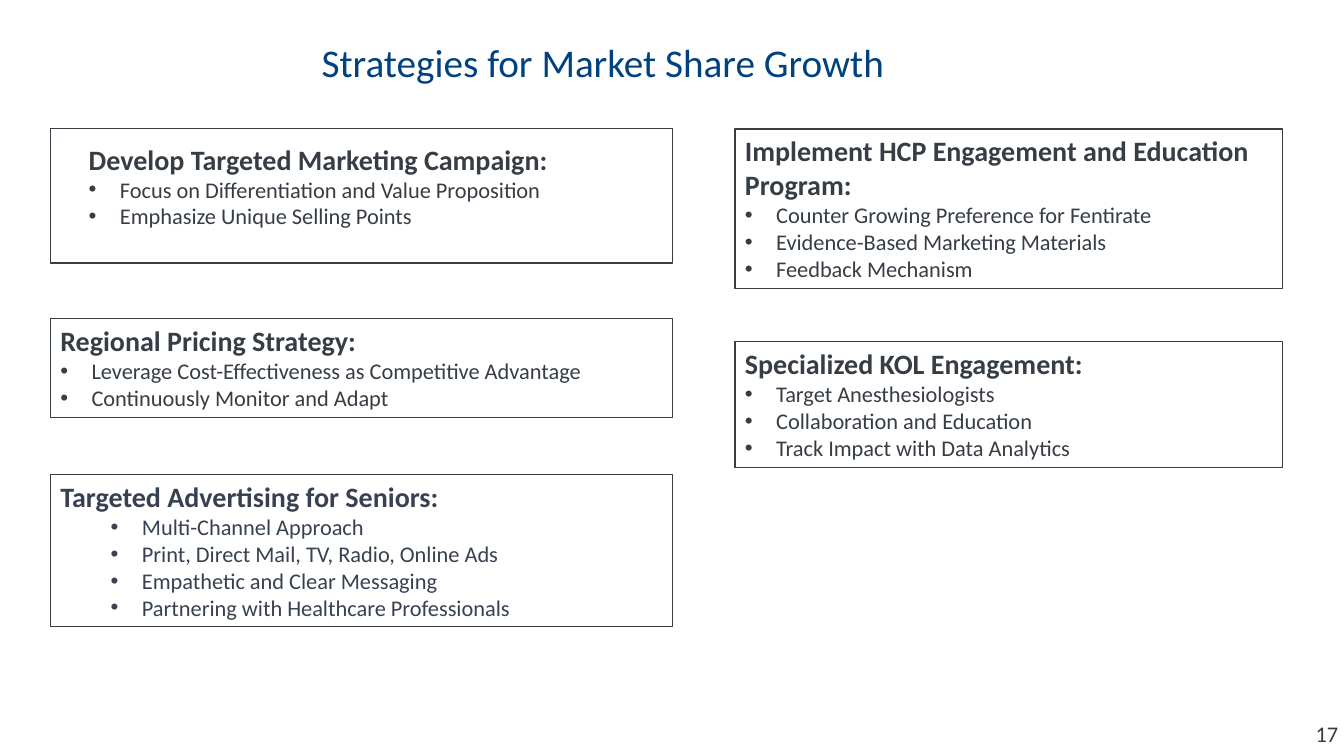
from dataclasses import dataclass

from lxml.etree import SubElement
from pptx import Presentation
from pptx.dml.color import RGBColor
from pptx.enum.shapes import MSO_SHAPE
from pptx.enum.text import MSO_ANCHOR, MSO_AUTO_SIZE, PP_ALIGN
from pptx.oxml.ns import qn
from pptx.util import Inches, Pt

TITLE = "Strategies for Market Share Growth"
PAGE = "17"

# Column: left, width
COLUMNS = {"left": (0.5, 6.17), "right": (7.29, 5.43)}

# Strategy: column, top, height, style, heading, points
STRATEGIES = [
    ("left", 1.28, 1.33, "roomy", "Develop Targeted Marketing Campaign:",
     ["Focus on Differentiation and Value Proposition",
      "Emphasize Unique Selling Points"]),
    ("right", 1.28, 1.58, "plain", "Implement HCP Engagement and Education Program:",
     ["Counter Growing Preference for Fentirate",
      "Evidence-Based Marketing Materials",
      "Feedback Mechanism"]),
    ("left", 3.16, 0.98, "plain", "Regional Pricing Strategy:",
     ["Leverage Cost-Effectiveness as Competitive Advantage",
      "Continuously Monitor and Adapt"]),
    ("right", 3.39, 1.25, "plain", "Specialized KOL Engagement:",
     ["Target Anesthesiologists",
      "Collaboration and Education",
      "Track Impact with Data Analytics"]),
    ("left", 4.71, 1.51, "nested", "Targeted Advertising for Seniors:",
     ["Multi-Channel Approach",
      "Print, Direct Mail, TV, Radio, Online Ads",
      "Empathetic and Clear Messaging",
      "Partnering with Healthcare Professionals"]),
]


@dataclass(frozen=True)
class Theme:
    font: str = "Calibri"
    title: str = "00427F"
    ink: str = "363D45"
    slate: str = "374151"
    title_size: int = 28
    heading_size: int = 20
    body_size: int = 16


THEME = Theme()

# Insets, heading indent, point indent, level of points, colour
STYLES = {
    "plain": ((0.1, 0.05), (0, 0), (0.31, -0.31), 0, THEME.ink),
    "roomy": ((0.13, 0.13), (0.5, -0.25), (0.56, -0.31), 0, THEME.ink),
    "nested": ((0.1, 0.05), (0, 0), (0.81, -0.31), 1, THEME.slate),
}


def set_frame(tf, insets):
    tf.word_wrap = True
    tf.auto_size = MSO_AUTO_SIZE.NONE
    tf.vertical_anchor = MSO_ANCHOR.TOP
    tf.margin_left = tf.margin_right = Inches(insets[0])
    tf.margin_top = tf.margin_bottom = Inches(insets[1])


def write(p, text, size=THEME.body_size, color=THEME.ink, bold=False,
          indent=(0, 0), bullet=False, level=0):
    """Fill one paragraph; indent is (left margin, first line) in inches."""
    p.alignment = PP_ALIGN.LEFT
    p.level = level
    p.space_before = Pt(0)
    pPr = p._p.get_or_add_pPr()
    pPr.set("marL", str(Inches(indent[0])))
    pPr.set("indent", str(Inches(indent[1])))
    if bullet:
        SubElement(pPr, qn("a:buFont")).set("typeface", "Arial")
        SubElement(pPr, qn("a:buChar")).set("char", "•")
    else:
        SubElement(pPr, qn("a:buNone"))
    r = p.add_run()
    r.text = text
    r.font.name = THEME.font
    r.font.size = Pt(size)
    r.font.bold = bold
    r.font.color.rgb = RGBColor.from_string(color)


def add_strategy(slide, column, top, height, style, heading, points):
    left, width = COLUMNS[column]
    insets, heading_indent, point_indent, level, color = STYLES[style]
    sp = slide.shapes.add_shape(MSO_SHAPE.RECTANGLE, Inches(left), Inches(top),
                                Inches(width), Inches(height))
    sp.shadow.inherit = False
    sp.fill.background()
    sp.line.color.rgb = RGBColor.from_string(THEME.ink)
    sp.line.width = Pt(0.75)
    tf = sp.text_frame
    set_frame(tf, insets)
    write(tf.paragraphs[0], heading, size=THEME.heading_size, color=color,
          bold=True, indent=heading_indent)
    for point in points:
        write(tf.add_paragraph(), point, color=color, indent=point_indent,
              bullet=True, level=level)


def main():
    prs = Presentation()
    prs.slide_width, prs.slide_height = Inches(13.33), Inches(7.5)
    slide = prs.slides.add_slide(prs.slide_layouts[5])

    title = slide.shapes.title
    title.left, title.top = Inches(2.81), Inches(0.25)
    title.width, title.height = Inches(10.5), Inches(0.9)
    set_frame(title.text_frame, (0.13, 0.13))
    write(title.text_frame.paragraphs[0], TITLE, size=THEME.title_size,
          color=THEME.title, indent=(0.5, -0.25))

    page = slide.shapes.add_textbox(Inches(12.95), Inches(7.1),
                                    Inches(0.51), Inches(0.34))
    set_frame(page.text_frame, (0.1, 0.05))
    write(page.text_frame.paragraphs[0], PAGE)

    for strategy in STRATEGIES:
        add_strategy(slide, *strategy)
    prs.save("out.pptx")


if __name__ == "__main__":
    main()
